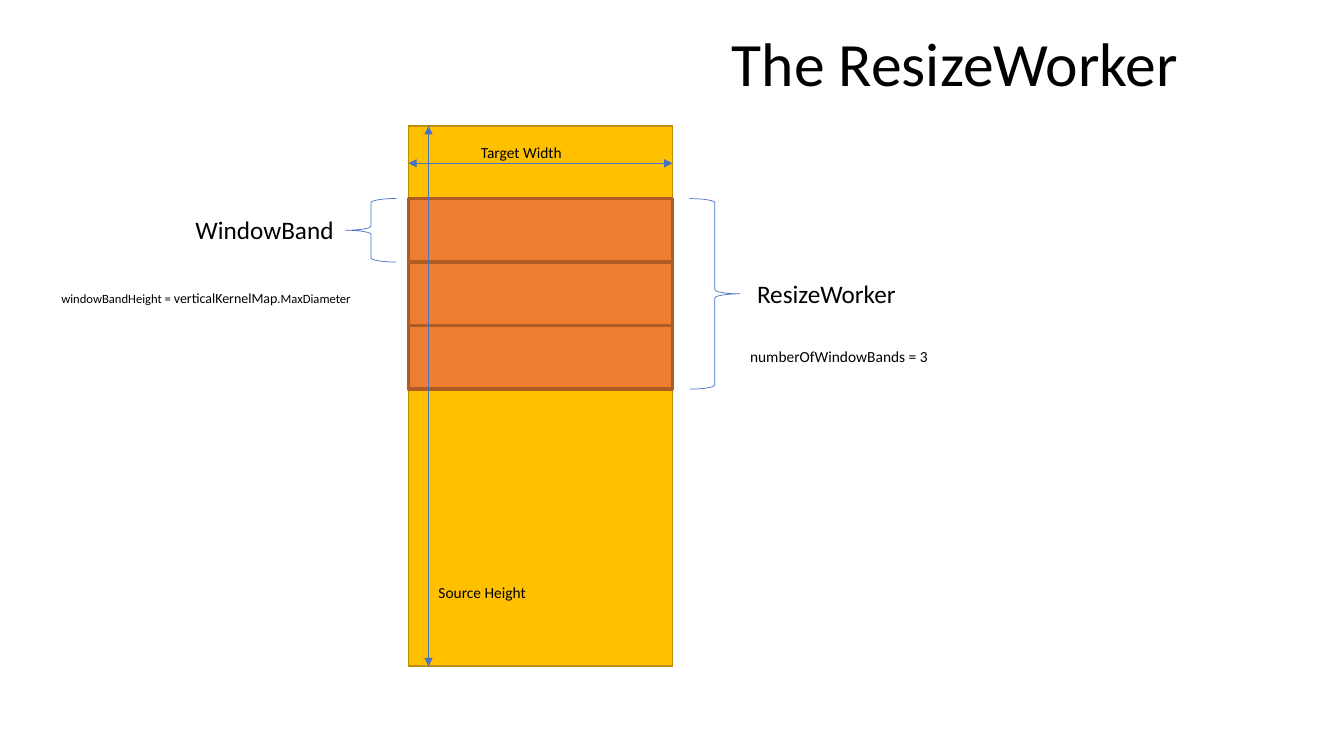
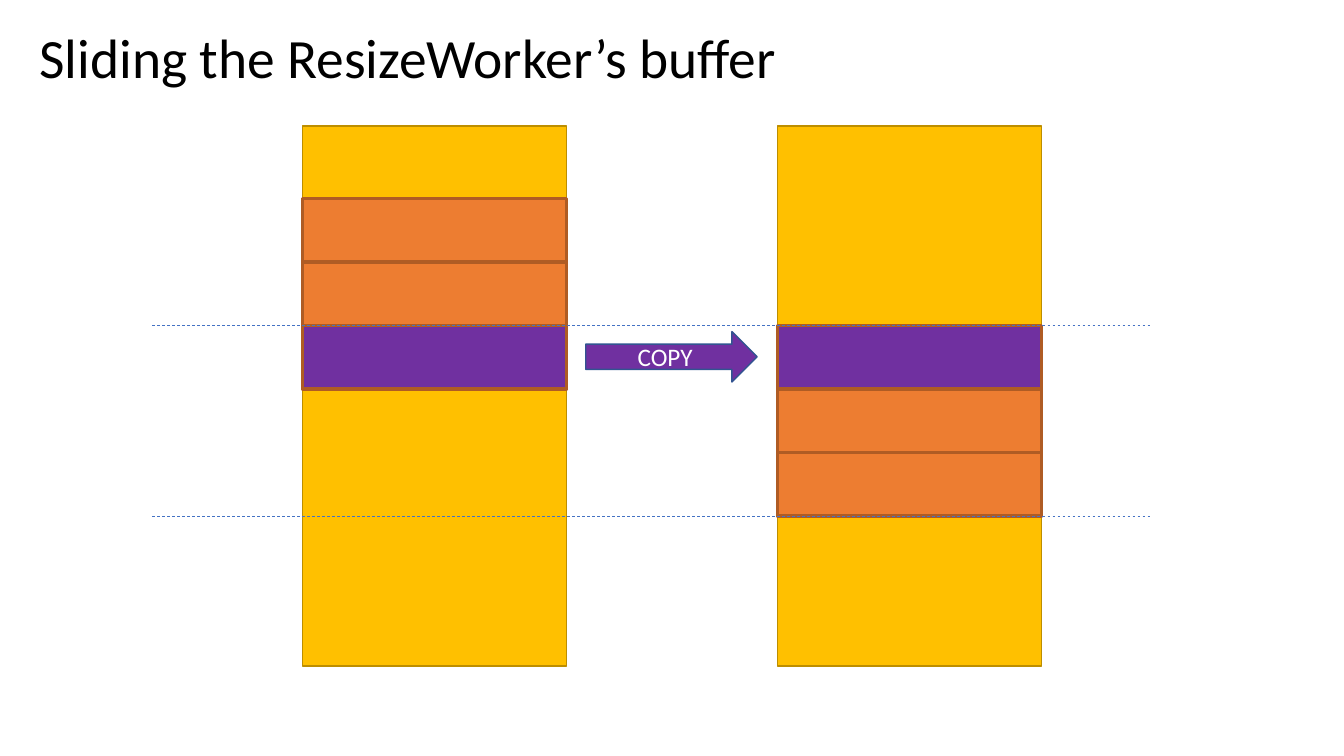
from lxml import etree
from pptx import Presentation
from pptx.dml.color import RGBColor
from pptx.enum.dml import MSO_LINE
from pptx.enum.shapes import MSO_CONNECTOR, MSO_SHAPE
from pptx.enum.text import MSO_ANCHOR, MSO_AUTO_SIZE, PP_ALIGN
from pptx.oxml.ns import qn
from pptx.util import Inches, Pt

RECTANGLE = MSO_SHAPE.RECTANGLE
LEFT_BRACE = MSO_SHAPE.LEFT_BRACE
RIGHT_BRACE = MSO_SHAPE.RIGHT_BRACE
RIGHT_ARROW = MSO_SHAPE.RIGHT_ARROW
STRAIGHT = MSO_CONNECTOR.STRAIGHT
DASH = MSO_LINE.DASH
MIDDLE = MSO_ANCHOR.MIDDLE
LEFT = PP_ALIGN.LEFT
CENTER = PP_ALIGN.CENTER
NO_FIT = MSO_AUTO_SIZE.NONE
GROW = MSO_AUTO_SIZE.SHAPE_TO_FIT_TEXT

BLACK = RGBColor(0x00, 0x00, 0x00)
WHITE = RGBColor(0xFF, 0xFF, 0xFF)
GOLD = RGBColor(0xFF, 0xC0, 0x00)
DARK_GOLD = RGBColor(0xBD, 0x8E, 0x00)
ORANGE = RGBColor(0xED, 0x7D, 0x31)
DARK_ORANGE = RGBColor(0xAF, 0x5C, 0x24)
PURPLE = RGBColor(0x70, 0x30, 0xA0)
BLUE = RGBColor(0x44, 0x72, 0xC4)
DARK_BLUE = RGBColor(0x32, 0x54, 0x91)

FONT = "Calibri"
TITLE_ONLY = 5
IMAGE_TOP = 1.25
IMAGE_WIDTH = 2.62
IMAGE_HEIGHT = 5.36
BAND_TOP = 1.97
BAND_HEIGHT = 0.63
BAND_COUNT = 3
WINDOW_HEIGHT = BAND_COUNT * BAND_HEIGHT
BRACE_WIDTH = 0.5


def set_font(font, size, color):
    font.name = FONT
    font.size = Pt(size)
    font.color.rgb = color


def add_titled_slide(presentation, text, box, size):
    slide = presentation.slides.add_slide(presentation.slide_layouts[TITLE_ONLY])
    title = slide.shapes.title
    title.left, title.top, title.width, title.height = map(Inches, box)
    frame = title.text_frame
    frame.text = text
    frame.auto_size = NO_FIT
    frame.vertical_anchor = MIDDLE
    paragraph = frame.paragraphs[0]
    paragraph.alignment = LEFT
    paragraph.line_spacing = 0.9
    set_font(paragraph.font, size, BLACK)
    return slide


def add_outlined_shape(slide, preset, box, fill, line, line_width):
    shape = slide.shapes.add_shape(preset, *map(Inches, box))
    shape.shadow.inherit = False
    if fill is None:
        shape.fill.background()
    else:
        shape.fill.solid()
        shape.fill.fore_color.rgb = fill
    shape.line.color.rgb = line
    shape.line.width = Pt(line_width)
    return shape


def add_source_image(slide, left, window_top, band_colors):
    add_outlined_shape(slide, RECTANGLE, (left, IMAGE_TOP, IMAGE_WIDTH, IMAGE_HEIGHT),
                       GOLD, DARK_GOLD, 1)
    for index, color in enumerate(band_colors):
        top = window_top + index * BAND_HEIGHT
        add_outlined_shape(slide, RECTANGLE, (left, top, IMAGE_WIDTH, BAND_HEIGHT),
                           color, DARK_ORANGE, 2.25)


def add_brace(slide, preset, left, height):
    add_outlined_shape(slide, preset, (left, BAND_TOP, BRACE_WIDTH, height), None, BLUE, 0.5)


def add_line(slide, start, end):
    connector = slide.shapes.add_connector(STRAIGHT, *map(Inches, start + end))
    connector.line.color.rgb = BLUE
    connector.line.width = Pt(0.5)
    etree.SubElement(connector.element.spPr, qn("a:effectLst"))
    return connector


def add_dimension(slide, start, end):
    connector = add_line(slide, start, end)
    outline = connector.element.spPr.find(qn("a:ln"))
    for tag in ("a:headEnd", "a:tailEnd"):
        etree.SubElement(outline, qn(tag), type="triangle")


def add_label(slide, box, *runs):
    frame = slide.shapes.add_textbox(*map(Inches, box)).text_frame
    frame.word_wrap = False
    frame.auto_size = GROW
    for text, size in runs:
        run = frame.paragraphs[0].add_run()
        run.text = text
        set_font(run.font, size, BLACK)


def add_copy_arrow(slide, box):
    arrow = add_outlined_shape(slide, RIGHT_ARROW, box, PURPLE, DARK_BLUE, 1)
    frame = arrow.text_frame
    frame.text = "COPY"
    frame.vertical_anchor = MIDDLE
    paragraph = frame.paragraphs[0]
    paragraph.alignment = CENTER
    set_font(paragraph.font, 18, WHITE)


def build_worker_slide(presentation):
    slide = add_titled_slide(presentation, "The ResizeWorker", (7.16, 0.07, 5.82, 1.18), 44)
    left = 4.05
    add_source_image(slide, left, BAND_TOP, [ORANGE] * BAND_COUNT)
    add_brace(slide, RIGHT_BRACE, 6.84, WINDOW_HEIGHT)
    add_brace(slide, LEFT_BRACE, 3.43, BAND_HEIGHT)
    add_dimension(slide, (left, 1.62), (left + IMAGE_WIDTH, 1.62))
    add_dimension(slide, (4.25, IMAGE_TOP), (4.25, IMAGE_TOP + IMAGE_HEIGHT))
    add_label(slide, (7.41, 2.71, 1.59, 0.4), ("ResizeWorker", 18))
    add_label(slide, (1.84, 2.08, 1.59, 0.4), ("WindowBand", 18))
    add_label(slide, (4.67, 1.37, 1.02, 0.29), ("Target Width", 11))
    add_label(slide, (4.25, 5.74, 1.08, 0.29), ("Source Height", 11))
    add_label(slide, (7.34, 3.39, 1.98, 0.29), ("numberOfWindowBands = 3", 11))
    add_label(slide, (0.51, 2.82, 3.11, 0.27),
              ("windowBandHeight = ", 9), ("verticalKernelMap", 10), (".MaxDiameter", 9))


def build_sliding_slide(presentation):
    slide = add_titled_slide(presentation, "Sliding the ResizeWorker’s buffer",
                             (0.29, 0.25, 11.5, 0.71), 39.6)
    moved_top = BAND_TOP + (BAND_COUNT - 1) * BAND_HEIGHT
    add_source_image(slide, 3, BAND_TOP, [ORANGE, ORANGE, PURPLE])
    add_source_image(slide, 7.71, moved_top, [PURPLE, ORANGE, ORANGE])
    for y in (moved_top, moved_top + WINDOW_HEIGHT):
        add_line(slide, (1.51, y), (11.43, y)).line.dash_style = DASH
    add_copy_arrow(slide, (5.81, 3.29, 1.7, 0.5))


def main():
    presentation = Presentation()
    presentation.slide_width = Inches(13.33)
    presentation.slide_height = Inches(7.5)
    build_worker_slide(presentation)
    build_sliding_slide(presentation)
    presentation.save("out.pptx")


if __name__ == "__main__":
    main()
